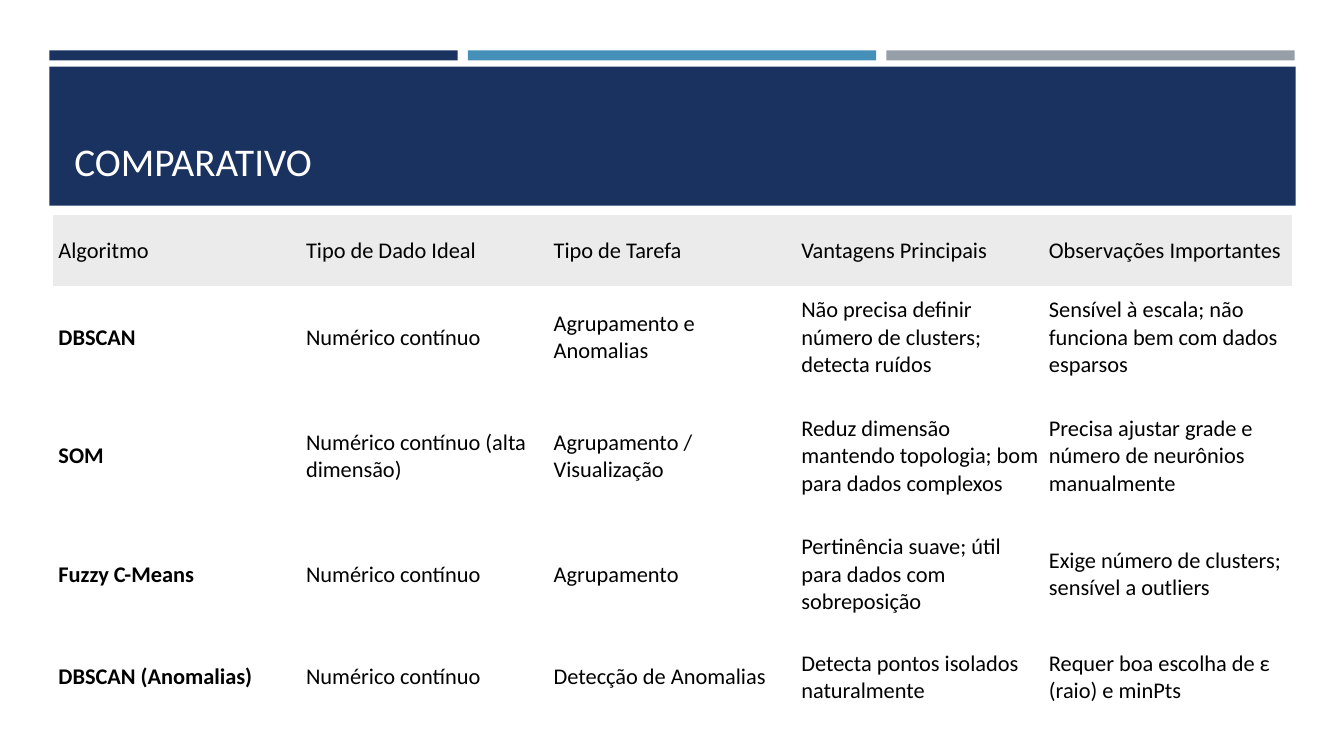
from pptx import Presentation
from pptx.dml.color import RGBColor
from pptx.enum.shapes import MSO_SHAPE as Shape
from pptx.enum.text import MSO_ANCHOR as Anchor
from pptx.oxml.ns import qn
from pptx.util import Inches, Pt

NAVY = RGBColor(0x1A, 0x32, 0x60)
BLUE = RGBColor(0x45, 0x90, 0xB8)
GRAY = RGBColor(0x96, 0x9F, 0xA7)
HEADER_FILL = RGBColor(0xEB, 0xEB, 0xEB)
WHITE = RGBColor(0xFF, 0xFF, 0xFF)
BLACK = RGBColor(0x00, 0x00, 0x00)
NO_STYLE_NO_GRID = "{2D5ABB26-0587-4C30-8999-92F81FD0307C}"


def write_text(frame, text, size=16, color=BLACK, bold=False, anchor=Anchor.MIDDLE):
    frame.word_wrap = True
    frame.vertical_anchor = anchor
    span = frame.paragraphs[0].add_run()
    span.text = text
    span.font.name = "Calibri"
    span.font.size = Pt(size)
    span.font.bold = bold
    span.font.color.rgb = color


deck = Presentation()
deck.slide_width = Inches(13.33)
deck.slide_height = Inches(7.5)
page = deck.slides.add_slide(deck.slide_layouts[6])

bands = [(0.49 + 4.15 * index, 0.5, 4.05, 0.1, color)
         for index, color in enumerate([NAVY, BLUE, GRAY])]
bands.append((0.49, 0.66, 12.36, 1.38, NAVY))
for left, top, width, height, color in bands:
    band = page.shapes.add_shape(
        Shape.RECTANGLE, Inches(left), Inches(top), Inches(width), Inches(height))
    band.shadow.inherit = False
    band.fill.solid()
    band.fill.fore_color.rgb = color
    band.line.fill.background()

title = page.shapes.add_textbox(Inches(0.64), Inches(0.8), Inches(12.06), Inches(1.08))
write_text(title.text_frame, "COMPARATIVO", size=28, color=WHITE, anchor=Anchor.BOTTOM)

comparison = [
    ["Algoritmo", "Tipo de Dado Ideal", "Tipo de Tarefa",
     "Vantagens Principais", "Observações Importantes"],
    ["DBSCAN", "Numérico contínuo", "Agrupamento e Anomalias",
     "Não precisa definir número de clusters; detecta ruídos",
     "Sensível à escala; não funciona bem com dados esparsos"],
    ["SOM", "Numérico contínuo (alta dimensão)", "Agrupamento / Visualização",
     "Reduz dimensão mantendo topologia; bom para dados complexos",
     "Precisa ajustar grade e número de neurônios manualmente"],
    ["Fuzzy C-Means", "Numérico contínuo", "Agrupamento",
     "Pertinência suave; útil para dados com sobreposição",
     "Exige número de clusters; sensível a outliers"],
    ["DBSCAN (Anomalias)", "Numérico contínuo", "Detecção de Anomalias",
     "Detecta pontos isolados naturalmente",
     "Requer boa escolha de ε (raio) e minPts"],
]
row_heights = [0.71, 1.02, 1.33, 1.02, 1.02]

table = page.shapes.add_table(
    len(comparison), len(comparison[0]),
    Inches(0.53), Inches(2.13), Inches(12.28), Inches(sum(row_heights))).table
table.first_row = False
table.horz_banding = False
table._tbl.tblPr.find(qn("a:tableStyleId")).text = NO_STYLE_NO_GRID

for row_index, (height, texts) in enumerate(zip(row_heights, comparison)):
    table.rows[row_index].height = Inches(height)
    for column_index, text in enumerate(texts):
        cell = table.cell(row_index, column_index)
        cell.margin_left = cell.margin_right = Inches(0.05)
        cell.margin_top = cell.margin_bottom = Inches(0.02)
        cell.vertical_anchor = Anchor.MIDDLE
        if row_index == 0:
            cell.fill.solid()
            cell.fill.fore_color.rgb = HEADER_FILL
        else:
            cell.fill.background()
        write_text(cell.text_frame, text, bold=row_index > 0 and column_index == 0)

deck.save("out.pptx")
